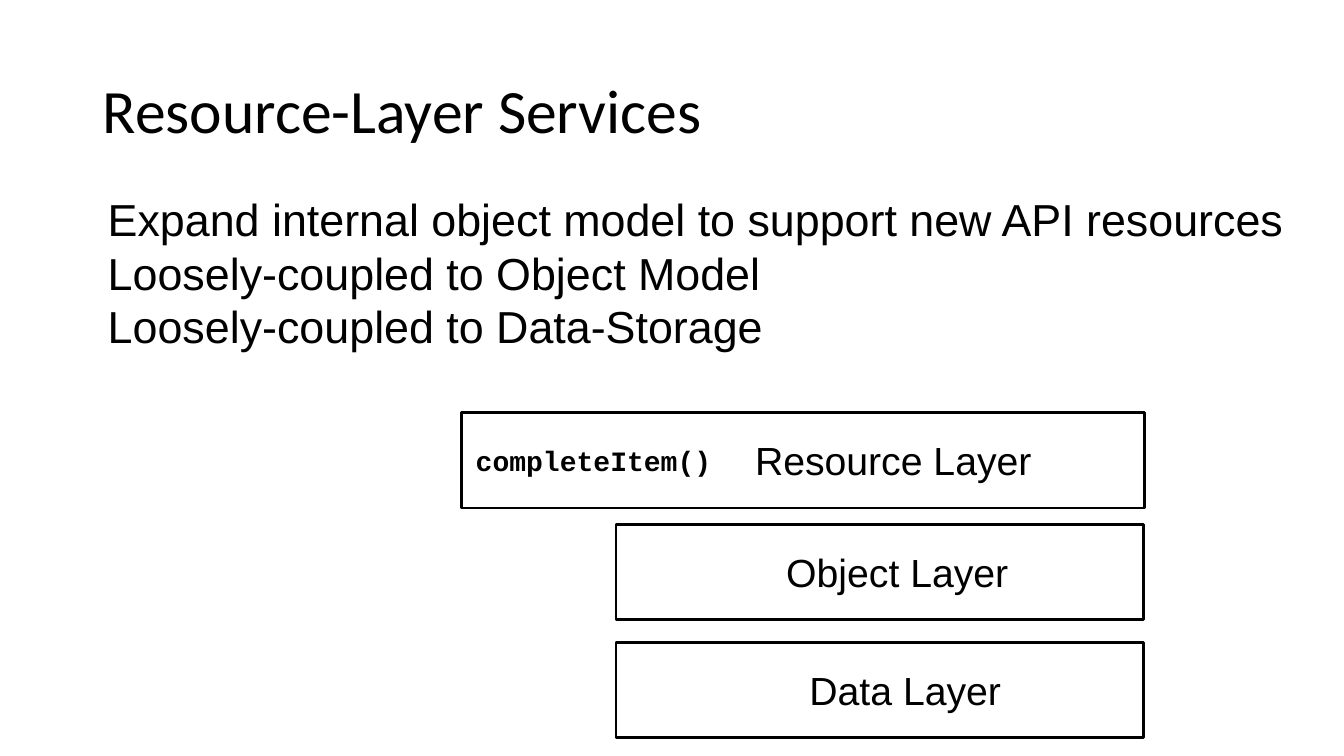
from pptx import Presentation
from pptx.dml.color import RGBColor
from pptx.enum.shapes import MSO_SHAPE as Shape
from pptx.enum.text import MSO_ANCHOR as Anchor
from pptx.util import Inches, Pt


def color(hex_code):
    return RGBColor.from_string(hex_code)


def add_text(text, left, top, width, height, **font_format):
    box = slide.shapes.add_textbox(
        Inches(left), Inches(top), Inches(width), Inches(height))
    frame = box.text_frame
    frame.word_wrap = True
    paragraph = frame.paragraphs[0]
    paragraph.text = text
    for run in paragraph.runs:
        run.font.color.rgb = color("000000")
        for key, value in font_format.items():
            setattr(run.font, key, value)
    return frame


prs = Presentation()
prs.slide_width, prs.slide_height = Inches(13.33), Inches(7.5)
slide = prs.slides.add_slide(prs.slide_layouts[6])

# Title
title = add_text("Resource-Layer Services", 0.92, 0.4, 11.5, 1.45,
                 name="Calibri", size=Pt(44))
title.vertical_anchor = Anchor.MIDDLE
title.paragraphs[0].line_spacing = 0.9

# Key points
key_points = [
    "Expand internal object model to support new API resources",
    "Loosely-coupled to Object Model",
    "Loosely-coupled to Data-Storage",
]
add_text("\n".join(key_points), 0.97, 1.85, 12.15, 1.72,
         name="Arial", size=Pt(32))

# Layer stack: name, box left, box top, box width, label left, label width
layers = [
    ("Data Layer", 6.11, 6.37, 5.23, 7.93, 2.3),
    ("Object Layer", 6.11, 5.2, 5.23, 7.7, 2.97),
    ("Resource Layer", 4.58, 4.09, 6.77, 7.39, 2.97),
]
for name, left, top, width, label_left, label_width in layers:
    layer = slide.shapes.add_shape(
        Shape.RECTANGLE, Inches(left), Inches(top), Inches(width), Inches(0.95))
    layer.shadow.inherit = False
    layer.fill.solid()
    layer.fill.fore_color.rgb = color("FFFFFF")
    layer.line.color.rgb = color("000000")
    layer.line.width = Pt(2)
    add_text(name, label_left, top + 0.19, label_width, 0.57,
             name="Arial", size=Pt(28))

# Service call in the resource layer
add_text("completeItem()", 4.62, 4.35, 2.97, 0.44,
         name="Courier New", size=Pt(20), bold=True)

prs.save("out.pptx")
